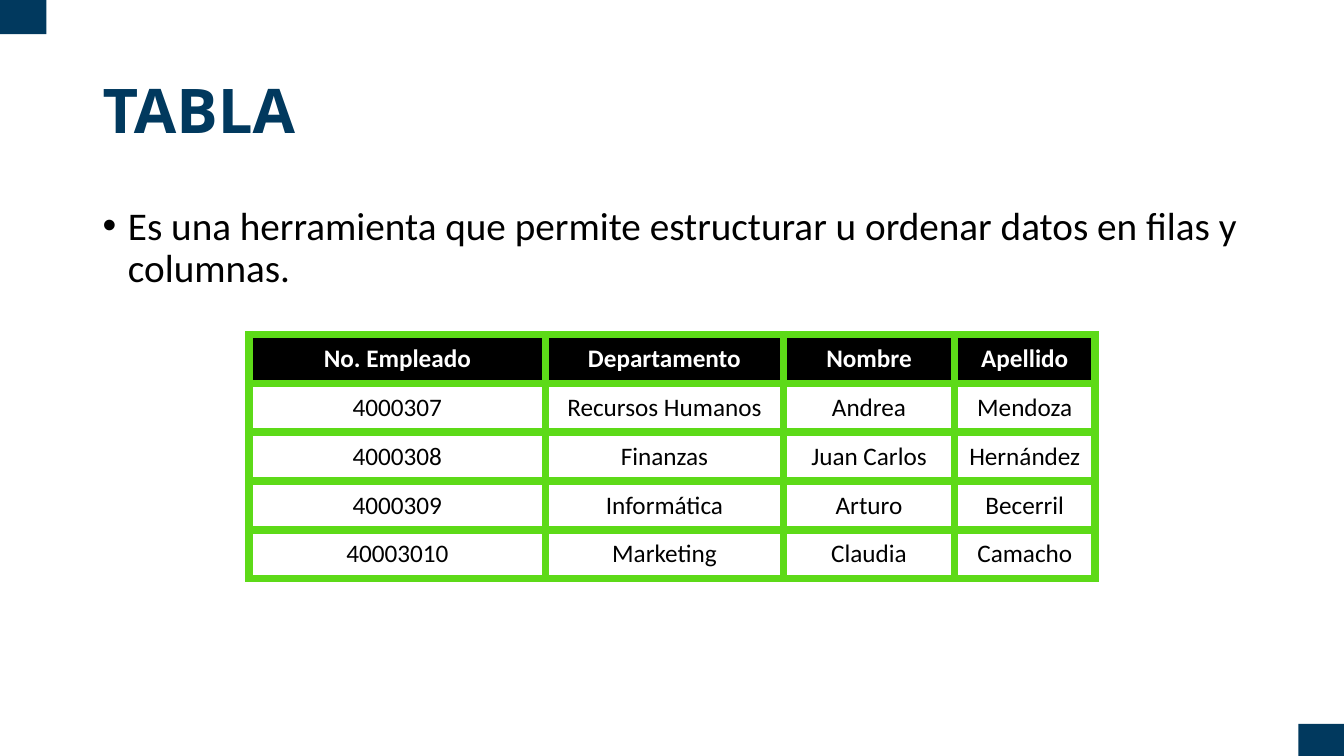
"""Build the slide that explains what a table is."""
import pptx
import pptx.util
import pptx.dml.color
import pptx.enum.shapes
import pptx.enum.text
import lxml.etree
from pptx.util import Cm, Pt

TITLE = "TABLA"
DEFINITION = "Es una herramienta que permite estructurar u ordenar datos en filas y columnas."
EMPLOYEES = [
    ("No. Empleado", "Departamento", "Nombre", "Apellido"),
    ("4000307", "Recursos Humanos", "Andrea", "Mendoza"),
    ("4000308", "Finanzas", "Juan Carlos", "Hernández"),
    ("4000309", "Informática", "Arturo", "Becerril"),
    ("40003010", "Marketing", "Claudia", "Camacho"),
]
COLUMN_WIDTHS = (7.47, 5.99, 4.32, 3.53)
ROW_HEIGHT = 1.23
CORNERS = [(0, 0, 1.17, 0.86), (32.72, 18.24, 1.15, 0.81)]
NAVY, GREEN, BLACK, WHITE = "01395E", "5DDA18", "000000", "FFFFFF"
BORDER_WIDTH = Pt(6)


def color(value):
    """Turn a hex string into a colour."""
    return pptx.dml.color.RGBColor.from_string(value)


def add_run(paragraph, text, size, font_name, hex_color, bold=False):
    """Add one formatted run to a paragraph."""
    run = paragraph.add_run()
    run.text = text
    run.font.size = Pt(size)
    run.font.name = font_name
    run.font.bold = bold
    run.font.color.rgb = color(hex_color)


def place(shape, left, top, width, height):
    """Move and size a shape in centimetres."""
    shape.left, shape.top = Cm(left), Cm(top)
    shape.width, shape.height = Cm(width), Cm(height)


def add_element(parent, tag, **attributes):
    """Append a DrawingML element."""
    return lxml.etree.SubElement(parent, pptx.oxml.ns.qn(tag), attributes)


def add_borders(cell):
    """Draw the four borders of a cell."""
    properties = cell._tc.get_or_add_tcPr()
    for side in ("a:lnL", "a:lnR", "a:lnT", "a:lnB"):
        line = add_element(properties, side, w=str(BORDER_WIDTH))
        add_element(add_element(line, "a:solidFill"), "a:srgbClr", val=GREEN)


def add_title(slide):
    """Fill the title placeholder."""
    title = slide.shapes.title
    place(title, 2.33, 1.01, 29.21, 3.68)
    title.text_frame.vertical_anchor = pptx.enum.text.MSO_ANCHOR.MIDDLE
    paragraph = title.text_frame.paragraphs[0]
    paragraph.alignment = pptx.enum.text.PP_ALIGN.LEFT
    paragraph.line_spacing = 0.9
    add_run(paragraph, TITLE, 44, "Open Sans", NAVY, bold=True)


def add_definition(slide):
    """Fill the body placeholder with the bulleted definition."""
    body = slide.placeholders[1]
    place(body, 2.33, 5.08, 29.21, 12.09)
    paragraph = body.text_frame.paragraphs[0]
    properties = paragraph._p.get_or_add_pPr()
    properties.set("marL", str(Cm(0.64)))
    properties.set("indent", str(-Cm(0.64)))
    add_element(properties, "a:buFont", typeface="Arial")
    add_element(properties, "a:buChar", char="•")
    paragraph.line_spacing = 0.9
    paragraph.space_before = Pt(0)
    add_run(paragraph, DEFINITION, 28, "Calibri", BLACK)


def add_employee_table(slide):
    """Add the bordered employee table."""
    table = slide.shapes.add_table(
        len(EMPLOYEES), len(COLUMN_WIDTHS), Cm(6.28), Cm(8.43),
        Cm(sum(COLUMN_WIDTHS)), Cm(ROW_HEIGHT * len(EMPLOYEES))).table
    for column, width in zip(table.columns, COLUMN_WIDTHS):
        column.width = Cm(width)
    for row_index, employee in enumerate(EMPLOYEES):
        table.rows[row_index].height = Cm(ROW_HEIGHT)
        header = row_index == 0
        for column_index, text in enumerate(employee):
            cell = table.cell(row_index, column_index)
            add_borders(cell)
            cell.fill.solid()
            cell.fill.fore_color.rgb = color(BLACK if header else WHITE)
            cell.vertical_anchor = pptx.enum.text.MSO_ANCHOR.MIDDLE
            paragraph = cell.text_frame.paragraphs[0]
            paragraph.alignment = pptx.enum.text.PP_ALIGN.CENTER
            add_run(paragraph, text, 18, "Calibri", WHITE if header else BLACK, bold=header)


def add_corners(slide):
    """Add the two corner blocks."""
    for box in CORNERS:
        corner = slide.shapes.add_shape(
            pptx.enum.shapes.MSO_SHAPE.RECTANGLE, *map(Cm, box))
        corner.shadow.inherit = False
        corner.fill.solid()
        corner.fill.fore_color.rgb = color(NAVY)
        corner.line.fill.background()


def main():
    """Create and save the presentation."""
    presentation = pptx.Presentation()
    presentation.slide_width, presentation.slide_height = Cm(33.87), Cm(19.05)
    slide = presentation.slides.add_slide(presentation.slide_layouts[1])
    add_corners(slide)
    add_title(slide)
    add_definition(slide)
    add_employee_table(slide)
    presentation.save("out.pptx")


if __name__ == "__main__":
    main()
